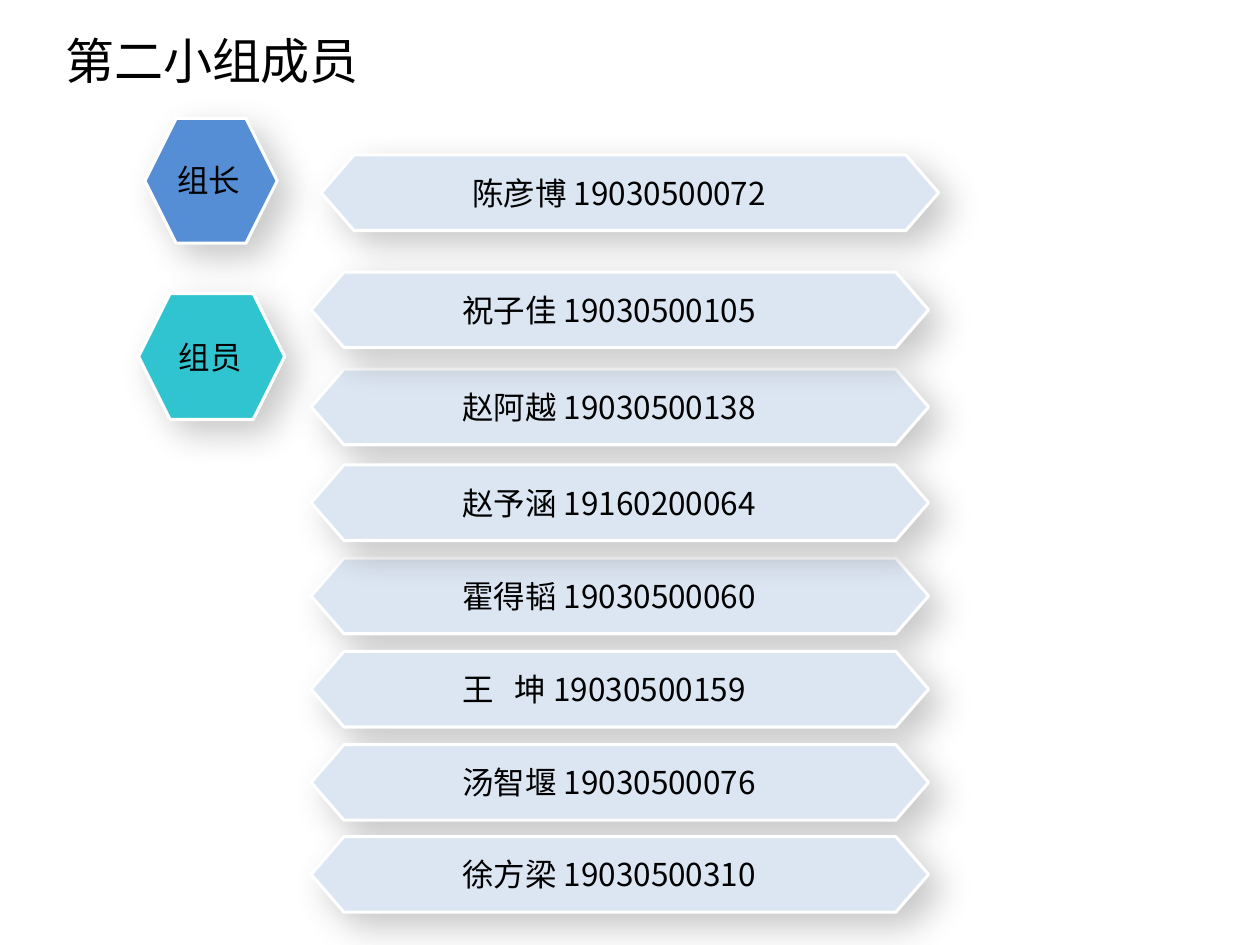
"""Build the member list slide of the second group."""
from lxml.etree import SubElement
from pptx import Presentation
from pptx.dml.color import RGBColor
from pptx.enum.shapes import MSO_SHAPE as Preset
from pptx.enum.text import MSO_AUTO_SIZE as AutoSize
from pptx.oxml import parse_xml
from pptx.oxml.ns import qn
from pptx.util import Inches, Pt

BLACK = RGBColor(0x00, 0x00, 0x00)
WHITE = RGBColor(0xFF, 0xFF, 0xFF)
PALE = RGBColor(0xDC, 0xE6, 0xF2)
BLUE = RGBColor(0x55, 0x8E, 0xD5)
TEAL = RGBColor(0x2F, 0xC4, 0xCF)
CJK = "Noto Sans CJK SC"
BAR_WIDTH, BAR_HEIGHT, TIP = 4.9, 0.6, 0.26
SHADOW = (
    '<a:effectLst xmlns:a="http://schemas.openxmlformats.org/drawingml/2006/main">'
    '<a:outerShdw blurRad="254000" dist="127000" dir="2700000" algn="tl" rotWithShape="0">'
    '<a:srgbClr val="000000"><a:alpha val="21000"/></a:srgbClr>'
    '</a:outerShdw></a:effectLst>'
)


def add_label(shapes, text, left, top, width, height, size=18, name=CJK, wrap=False):
    box = shapes.add_textbox(Inches(left), Inches(top), Inches(width), Inches(height))
    frame = box.text_frame
    for key, value in {"word_wrap": wrap, "auto_size": AutoSize.SHAPE_TO_FIT_TEXT}.items():
        setattr(frame, key, value)
    span = frame.paragraphs[0].add_run()
    span.text = text
    span.font.color.rgb = BLACK
    for key, value in {"size": Pt(size), "name": name}.items():
        setattr(span.font, key, value)
    SubElement(span.font._element, qn("a:ea")).set("typeface", CJK)
    return box


def style_panel(panel, color):
    panel.fill.solid()
    panel.fill.fore_color.rgb = color
    panel.line.color.rgb = WHITE
    panel.line.width = Pt(1.75)
    panel._element.spPr.append(parse_xml(SHADOW))


deck = Presentation()
deck.slide_width, deck.slide_height = Inches(10), Inches(7.5)
page = deck.slides.add_slide(deck.slide_layouts[6])

add_label(page.shapes, "第二小组成员", 0.42, 0.19, 2.77, 0.57, size=28, wrap=True)

roles = [
    ("组长", BLUE, (1.15, 0.94, 1.05, 0.99), (1.31, 1.23, 0.73, 0.4)),
    ("组员", TEAL, (1.1, 2.33, 1.16, 1), (1.32, 2.63, 0.72, 0.4)),
]
for role, color, hexagon_area, label_area in roles:
    group = page.shapes.add_group_shape()
    hexagon = group.shapes.add_shape(Preset.HEXAGON, *map(Inches, hexagon_area))
    style_panel(hexagon, color)
    label = add_label(group.shapes, role, *label_area, name="Arial")
    if color == BLUE:
        label.fill.solid()
        label.fill.fore_color.rgb = color

members = [
    ("陈彦博 19030500072", 2.55, 1.23),
    ("赵阿越 19030500138", 2.47, 2.93),
    ("霍得韬 19030500060", 2.47, 4.43),
    ("王   坤 19030500159", 2.47, 5.17),
    ("汤智堰 19030500076", 2.47, 5.91),
    ("徐方梁 19030500310", 2.47, 6.64),
    ("赵予涵 19160200064", 2.47, 3.69),
    ("祝子佳 19030500105", 2.47, 2.16),
]
for member, left, top in members:
    group = page.shapes.add_group_shape()
    right, bottom, middle = left + BAR_WIDTH, top + BAR_HEIGHT, top + BAR_HEIGHT / 2
    corners = [
        (left + TIP, top), (right - TIP, top), (right, middle),
        (right - TIP, bottom), (left + TIP, bottom), (left, middle),
    ]
    points = [(Inches(x), Inches(y)) for x, y in corners]
    builder = group.shapes.build_freeform(*points[0])
    builder.add_line_segments(points[1:], close=True)
    style_panel(builder.convert_to_shape(), PALE)
    add_label(group.shapes, member, left + 1.1, top + 0.1, 2.71, 0.4)

deck.save("out.pptx")
